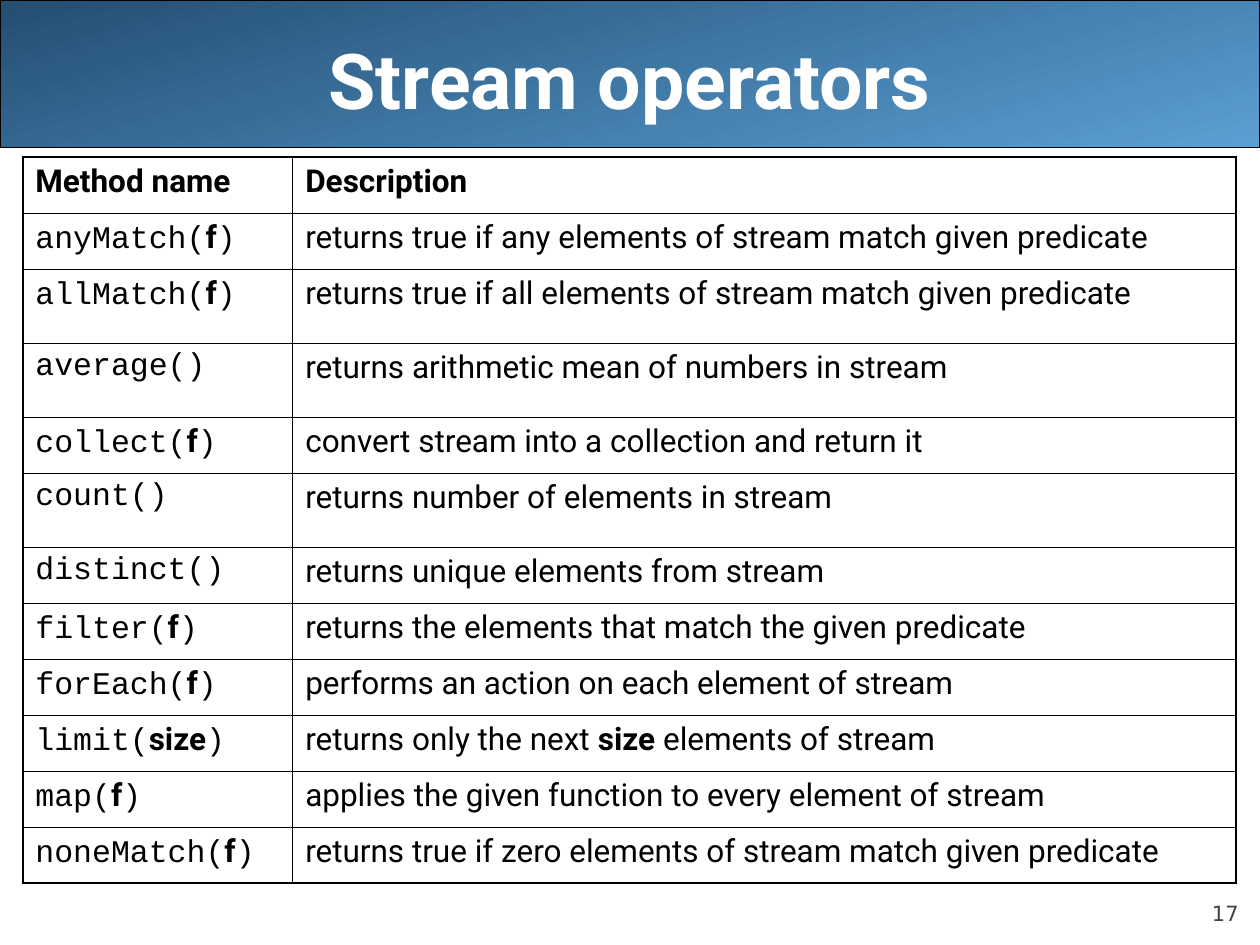
import pptx
import pptx.dml.color
import pptx.enum.shapes
import pptx.enum.text
import pptx.oxml
import pptx.oxml.ns
import pptx.util
from pptx.util import Cm

SANS, MONO = "Roboto", "Courier New"
THIN, THICK = 0.45, 1.08
SHORT_ROW, TALL_ROW = Cm(1.13), Cm(1.49)
TALL_METHODS = ("allMatch(*f*)", "average()", "count()")

# Text between asterisks is bold.
OPERATORS = [
    ("*Method name*", "*Description*"),
    ("anyMatch(*f*)", "returns true if any elements of stream match given predicate"),
    ("allMatch(*f*)", "returns true if all elements of stream match given predicate"),
    ("average()", "returns arithmetic mean of numbers in stream"),
    ("collect(*f*)", "convert stream into a collection and return it"),
    ("count()", "returns number of elements in stream"),
    ("distinct()", "returns unique elements from stream"),
    ("filter(*f*)", "returns the elements that match the given predicate"),
    ("forEach(*f*)", "performs an action on each element of stream"),
    ("limit(*size*)", "returns only the next *size* elements of stream"),
    ("map(*f*)", "applies the given function to every element of stream"),
    ("noneMatch(*f*)", "returns true if zero elements of stream match given predicate"),
]


def color(value):
    return pptx.dml.color.RGBColor.from_string(value)


def style_span(span, size, font, value, bold=False):
    span.font.size = pptx.util.Pt(size)
    span.font.name = font
    span.font.bold = bold
    span.font.color.rgb = color(value)


def add_banner(page, width, height):
    banner = page.shapes.add_shape(
        pptx.enum.shapes.MSO_SHAPE.ROUNDED_RECTANGLE, 0, 0, width, height)
    banner.adjustments[0] = 0
    banner.shadow.inherit = False
    banner.fill.gradient()
    banner.fill.gradient_angle = 285
    for stop, value in zip(banner.fill.gradient_stops, ("244E72", "5A9FD4")):
        stop.color.rgb = color(value)
    banner.line.color.rgb = color("000000")
    banner.line.width = pptx.util.Pt(0.75)


def add_text(page, text, place, anchor, align, inset, **style):
    box = page.shapes.add_textbox(*place)
    frame = box.text_frame
    frame.word_wrap = True
    frame.vertical_anchor = anchor
    frame.margin_left = frame.margin_right = inset
    frame.margin_top = frame.margin_bottom = inset // 2
    frame.text = text
    para = frame.paragraphs[0]
    para.alignment = align
    style_span(para.runs[0], **style)


def set_borders(cell, widths):
    """Draw black cell borders; widths are points for left, right, top, bottom."""
    properties = cell._tc.get_or_add_tcPr()
    for index, (side, width) in enumerate(zip("LRTB", widths)):
        properties.insert(index, pptx.oxml.parse_xml(
            f'<a:ln{side} {pptx.oxml.ns.nsdecls("a")} w="{pptx.util.Pt(width)}">'
            '<a:solidFill><a:srgbClr val="000000"/></a:solidFill>'
            f'</a:ln{side}>'))


def fill_cell(cell, marked_text, plain_font):
    para = cell.text_frame.paragraphs[0]
    para.space_before = pptx.util.Pt(4.5)
    for index, part in enumerate(marked_text.split("*")):
        if part:
            bold = index % 2 == 1
            span = para.add_run()
            span.text = part
            style_span(span, 18, SANS if bold else plain_font, "000000", bold)


def add_operator_table(page):
    last = len(OPERATORS) - 1
    widths = (Cm(5.44), Cm(19.02))
    heights = [TALL_ROW if name in TALL_METHODS else SHORT_ROW
               for name, _ in OPERATORS]
    table = page.shapes.add_table(len(OPERATORS), len(widths), Cm(0.46), Cm(3.17),
                                  sum(widths), sum(heights)).table
    table.first_row = table.horz_banding = False
    for column, width in zip(table.columns, widths):
        column.width = width
    for row_index, texts in enumerate(OPERATORS):
        table.rows[row_index].height = heights[row_index]
        for column_index, (text, font) in enumerate(zip(texts, (MONO, SANS))):
            cell = table.cell(row_index, column_index)
            cell.fill.background()
            fill_cell(cell, text, font)
            outer = (column_index == 0, column_index == 1,
                     row_index == 0, row_index == last)
            set_borders(cell, [THICK if edge else THIN for edge in outer])


def main():
    anchors, aligns = pptx.enum.text.MSO_ANCHOR, pptx.enum.text.PP_ALIGN
    deck = pptx.Presentation()
    deck.slide_width, deck.slide_height = Cm(25.4), Cm(19.05)
    page = deck.slides.add_slide(deck.slide_layouts[6])
    add_banner(page, deck.slide_width, Cm(2.97))
    add_text(page, "17", (Cm(22.86), Cm(17.65), Cm(2.11), Cm(1.02)),
             anchors.BOTTOM, aligns.RIGHT, Cm(0),
             size=12, font="DejaVu Sans", value="424242")
    add_text(page, "Stream operators", (Cm(1.27), 0, Cm(22.86), Cm(3.17)),
             anchors.MIDDLE, aligns.CENTER, Cm(0.25),
             size=44, font=SANS, value="FFFFFF", bold=True)
    add_operator_table(page)
    deck.save("out.pptx")


if __name__ == "__main__":
    main()
